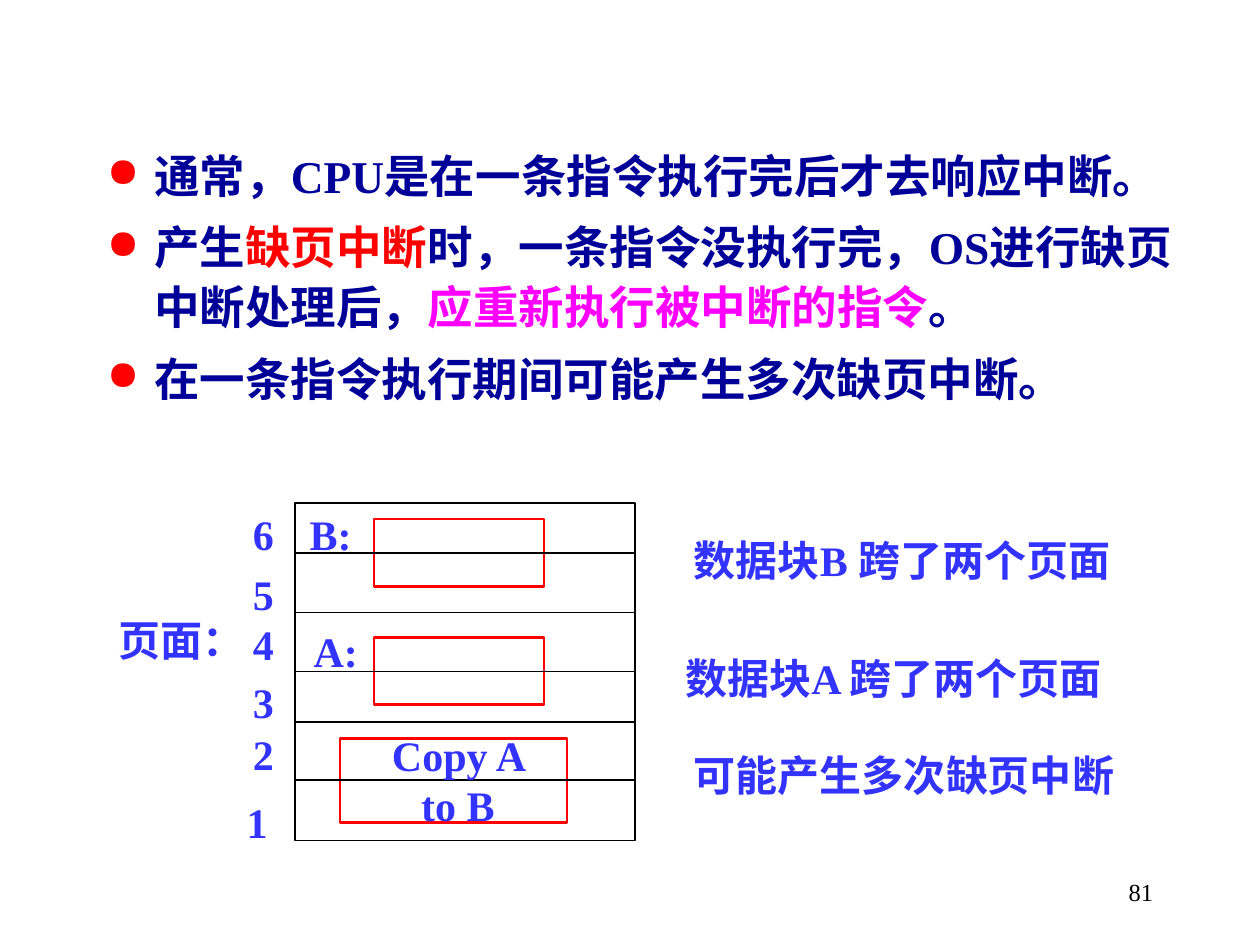
import lxml.etree
import pptx
import pptx.dml.color
import pptx.enum.shapes
import pptx.enum.text
import pptx.oxml.ns
import pptx.util

Pt = pptx.util.Pt
ALIGN = pptx.enum.text.PP_ALIGN
FONT = "Times New Roman"
BLACK, WHITE, RED = "000000", "FFFFFF", "FF0000"
NAVY, BLUE, MAGENTA = "000099", "3333FF", "FF00FF"

FRAME_LEFT, FRAME_TOP, FRAME_WIDTH, FRAME_HEIGHT = 168.5, 287.3, 194.4, 193
PAGE_LINES = [316, 350, 412.6, 445.7]
BLOCKS = [
    (194.4, 421.9, 129.6, 48.2),
    (213.8, 364.3, 97.2, 38.5),
    (213.8, 296.6, 97.2, 38.5),
]
LABEL_HEIGHT = 36
PAGE_NUMBERS = [
    ("6", 137.5, 287.3),
    ("5", 137.5, 321.1),
    ("4", 137.5, 349.9),
    ("3", 137.5, 383),
    ("2", 137.5, 412.6),
    ("1", 133.9, 451.4),
]
CENTRED_LABELS = [("A:", 172.1, 354.2, 39.6), ("B:", 169.9, 287.3, 38.2), ("页面：", 60.5, 347.8, 86.4)]
REMARKS = [
    ("数据块B 跨了两个页面", 389.5, 301.7, 264.2),
    ("数据块A 跨了两个页面", 384.5, 369.4, 265),
    ("可能产生多次缺页中断", 389.5, 424.8, 254.2),
]
BULLETS = [
    [("通常，CPU是在一条指令执行完后才去响应中断。", NAVY)],
    [
        ("产生", NAVY),
        ("缺页中断", RED),
        ("时，一条指令没执行完，OS进行缺页中断处理后，", NAVY),
        ("应重新执行被中断的指令", MAGENTA),
        ("。", NAVY),
    ],
    [("在一条指令执行期间可能产生多次缺页中断。", NAVY)],
]


def color(hex_string):
    return pptx.dml.color.RGBColor.from_string(hex_string)


def add_run(paragraph, text, size, hex_string, bold=True):
    run = paragraph.add_run()
    run.text = text
    run.font.name = FONT
    run.font.size = Pt(size)
    run.font.bold = bold
    run.font.color.rgb = color(hex_string)


def add_text_frame(slide, left, top, width, height, wrap):
    text_box = slide.shapes.add_textbox(Pt(left), Pt(top), Pt(width), Pt(height))
    text_box.text_frame.word_wrap = wrap
    return text_box.text_frame


def add_label(slide, text, left, top, width, height=LABEL_HEIGHT, alignment=ALIGN.CENTER, wrap=False):
    text_frame = add_text_frame(slide, left, top, width, height, wrap)
    text_frame.auto_size = pptx.enum.text.MSO_AUTO_SIZE.SHAPE_TO_FIT_TEXT
    paragraph = text_frame.paragraphs[0]
    paragraph.alignment = alignment
    add_run(paragraph, text, 24, BLUE)


def add_rectangle(slide, left, top, width, height, line_color, line_width):
    shape = slide.shapes.add_shape(
        pptx.enum.shapes.MSO_SHAPE.RECTANGLE, Pt(left), Pt(top), Pt(width), Pt(height)
    )
    shape.shadow.inherit = False
    shape.fill.solid()
    shape.fill.fore_color.rgb = color(WHITE)
    shape.line.color.rgb = color(line_color)
    shape.line.width = Pt(line_width)
    return shape


def add_page_line(slide, top):
    connector = slide.shapes.add_connector(
        pptx.enum.shapes.MSO_CONNECTOR.STRAIGHT,
        Pt(FRAME_LEFT), Pt(top), Pt(FRAME_LEFT + FRAME_WIDTH), Pt(top),
    )
    connector.line.color.rgb = color(BLACK)
    connector.line.width = Pt(1)
    lxml.etree.SubElement(connector._element.spPr, pptx.oxml.ns.qn("a:effectLst"))
    return connector


def add_bullet(paragraph):
    indent = Pt(27)
    properties = paragraph._p.get_or_add_pPr()
    properties.set("marL", str(indent))
    properties.set("indent", str(-indent))
    bullet_color = lxml.etree.SubElement(properties, pptx.oxml.ns.qn("a:buClr"))
    lxml.etree.SubElement(bullet_color, pptx.oxml.ns.qn("a:srgbClr"), val=RED)
    lxml.etree.SubElement(properties, pptx.oxml.ns.qn("a:buSzPct"), val="90000")
    lxml.etree.SubElement(properties, pptx.oxml.ns.qn("a:buChar"), char="●")


def add_bullet_list(slide):
    text_frame = add_text_frame(slide, 54, 71.3, 629.3, 209.5, True)
    text_frame.margin_top = Pt(10.1)
    for index, runs in enumerate(BULLETS):
        paragraph = text_frame.add_paragraph() if index else text_frame.paragraphs[0]
        add_bullet(paragraph)
        paragraph.line_spacing = 1.1
        if index:
            paragraph.space_before = Pt(6.5)
        for text, hex_string in runs:
            add_run(paragraph, text, 26, hex_string)


def add_page_frame(slide):
    frame = add_rectangle(slide, FRAME_LEFT, FRAME_TOP, FRAME_WIDTH, FRAME_HEIGHT, BLACK, 1)
    for block in BLOCKS:
        add_rectangle(slide, *block, RED, 1.5)
    for top in PAGE_LINES:
        add_page_line(slide, top)
    middle_line = add_page_line(slide, FRAME_TOP + FRAME_HEIGHT / 2)
    middle_line.begin_connect(frame, 1)
    middle_line.end_connect(frame, 3)


def add_slide_number(slide):
    text_frame = add_text_frame(slide, 516.2, 491.8, 149.8, 36, True)
    text_frame.vertical_anchor = pptx.enum.text.MSO_ANCHOR.MIDDLE
    paragraph = text_frame.paragraphs[0]
    paragraph.alignment = ALIGN.RIGHT
    add_run(paragraph, "81", 14, BLACK, bold=False)


def main():
    presentation = pptx.Presentation()
    presentation.slide_width = Pt(720)
    presentation.slide_height = Pt(540)
    slide = presentation.slides.add_slide(presentation.slide_layouts[6])
    add_slide_number(slide)
    add_bullet_list(slide)
    add_page_frame(slide)
    add_label(slide, "Copy A to B", 206.6, 413.3, 110.2, 64.8, wrap=True)
    for text, left, top in PAGE_NUMBERS:
        add_label(slide, text, left, top, 25.9)
    for label in CENTRED_LABELS:
        add_label(slide, *label)
    for remark in REMARKS:
        add_label(slide, *remark, alignment=ALIGN.LEFT)
    presentation.save("out.pptx")


if __name__ == "__main__":
    main()
